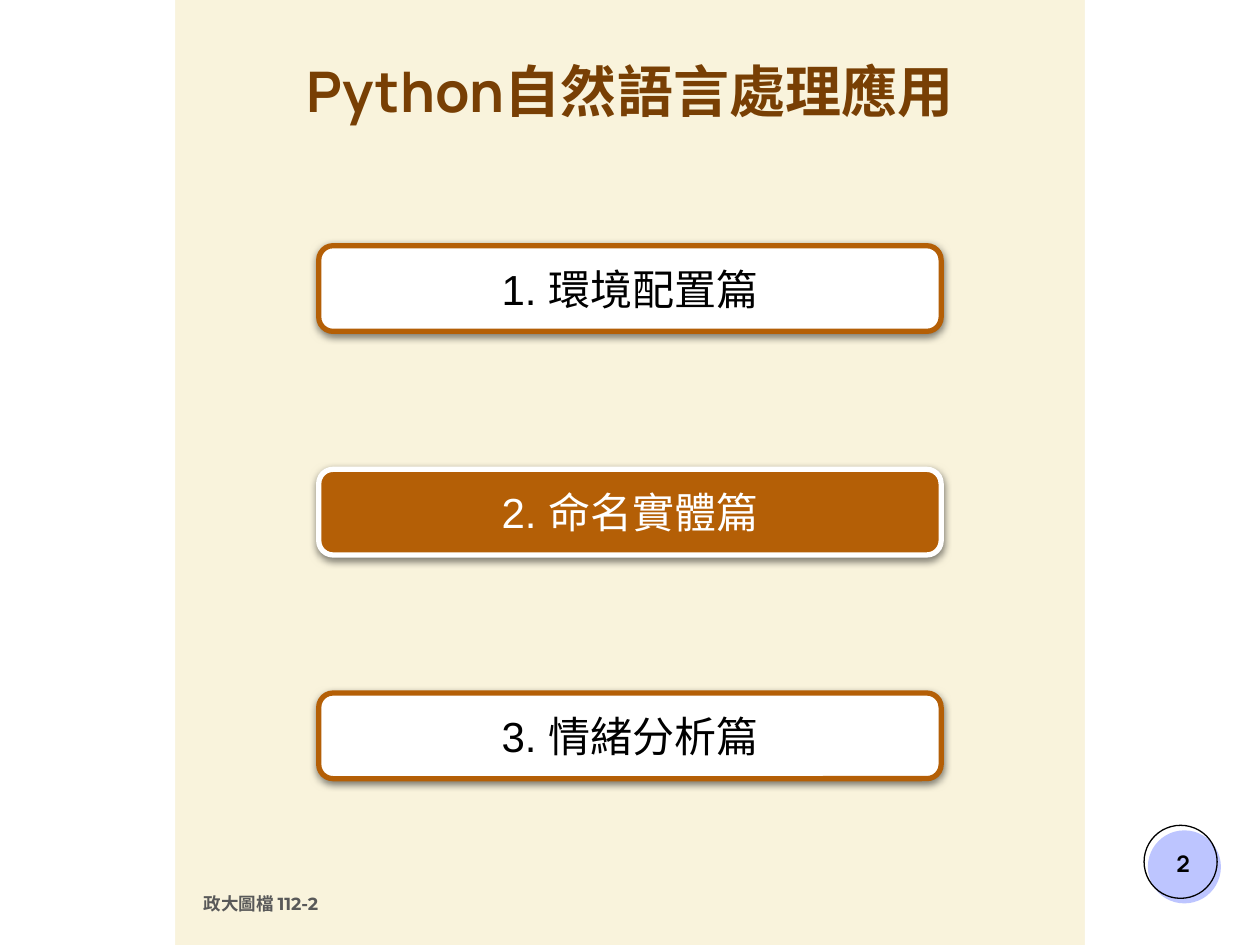
import pptx
import pptx.dml.color
import pptx.enum.shapes
import pptx.enum.text
import pptx.oxml
import pptx.oxml.ns
import pptx.util

Inches = pptx.util.Inches
Pt = pptx.util.Pt
SHAPES = pptx.enum.shapes.MSO_SHAPE
ALIGN = pptx.enum.text.PP_ALIGN
ANCHOR = pptx.enum.text.MSO_ANCHOR

COLORS = {
    "cream": "F9F3DC",
    "white": "FFFFFF",
    "black": "000000",
    "brown": "783F04",
    "orange": "B45F06",
    "lilac": "BDC5FF",
    "gray": "595959",
}


def rgb(name):
    """Return the named palette colour."""
    return pptx.dml.color.RGBColor.from_string(COLORS[name])


def write_text(frame, text, *, font, size, color, bold=False,
               align=ALIGN.CENTER, anchor=ANCHOR.MIDDLE, top_inset=0.1):
    """Fill a text frame with one formatted paragraph."""
    frame.word_wrap = True
    frame.vertical_anchor = anchor
    frame.margin_left = frame.margin_right = frame.margin_bottom = Inches(0.1)
    frame.margin_top = Inches(top_inset)
    paragraph = frame.paragraphs[0]
    paragraph.alignment = align
    run = paragraph.add_run()
    run.text = text
    run.font.name = font
    run.font.size = Pt(size)
    run.font.bold = bold
    run.font.color.rgb = rgb(color)


class Deck:
    """Holds the style and the current slide."""

    def __init__(self, width, height, background):
        """Start a deck with one blank slide."""
        self.presentation = pptx.Presentation()
        self.presentation.slide_width = Inches(width)
        self.presentation.slide_height = Inches(height)
        layout = self.presentation.slide_layouts[6]
        self.slide = self.presentation.slides.add_slide(layout)
        fill = self.slide.background.fill
        fill.solid()
        fill.fore_color.rgb = rgb(background)

    def label(self, box, text, **style):
        """Add a text box."""
        caption = self.slide.shapes.add_textbox(*map(Inches, box))
        write_text(caption.text_frame, text, **style)

    def shape(self, kind, box, fill=None, line=None, line_width=0.75):
        """Add a preset shape without a shadow."""
        shape = self.slide.shapes.add_shape(kind, *map(Inches, box))
        shape.shadow.inherit = False
        if fill:
            shape.fill.solid()
            shape.fill.fore_color.rgb = rgb(fill)
        else:
            shape.fill.background()
        if line:
            shape.line.color.rgb = rgb(line)
            shape.line.width = Pt(line_width)
        else:
            shape.line.fill.background()
        return shape

    def button(self, box, text, fill, line, color):
        """Add a rounded, shadowed chapter button."""
        button = self.shape(SHAPES.ROUNDED_RECTANGLE, box, fill, line, 3)
        button.adjustments[0] = 0.167
        effects = button._element.spPr.find(pptx.oxml.ns.qn("a:effectLst"))
        effects.append(pptx.oxml.parse_xml(
            f'<a:outerShdw {pptx.oxml.ns.nsdecls("a")} blurRad="{Pt(4.5)}" '
            f'dist="{Pt(1.5)}" dir="5400000" algn="bl" rotWithShape="0">'
            f'<a:srgbClr val="{COLORS["black"]}"><a:alpha val="50000"/>'
            '</a:srgbClr></a:outerShdw>'))
        write_text(button.text_frame, text, font="Arial", size=24, color=color)


def main():
    """Build the chapter overview slide."""
    deck = Deck(10, 7.5, "cream")
    deck.label((1.52, 7, 4.31, 0.37), "政大圖檔 112-2", font="Montserrat",
               size=10, color="gray", bold=True, align=ALIGN.LEFT,
               anchor=ANCHOR.TOP)

    margin = 1.39
    for left in (0, 10 - margin):
        deck.shape(SHAPES.RECTANGLE, (left, 0, margin, 7.5), fill="white")

    deck.shape(SHAPES.OVAL, (9.11, 6.59, 0.58, 0.58), fill="lilac")
    deck.shape(SHAPES.OVAL, (9.08, 6.55, 0.58, 0.58), line="black")
    deck.label((9.09, 6.57, 0.6, 0.57), "2", font="Manrope", size=13,
               color="black", bold=True)

    deck.label((margin, 0.45, 10 - 2 * margin, 0.68), "Python自然語言處理應用",
               font="Manrope", size=32, color="brown", bold=True,
               anchor=ANCHOR.TOP, top_inset=0)

    plain = ("white", "orange", "black")
    current = ("orange", "white", "white")
    chapters = (
        ("1. 環境配置篇", plain),
        ("2. 命名實體篇", current),
        ("3. 情緒分析篇", plain),
    )
    first_top, pitch = 1.95, 1.775
    for row, (chapter, look) in enumerate(chapters):
        deck.button((2.53, first_top + row * pitch, 4.94, 0.68), chapter, *look)

    deck.presentation.save("out.pptx")


if __name__ == "__main__":
    main()
